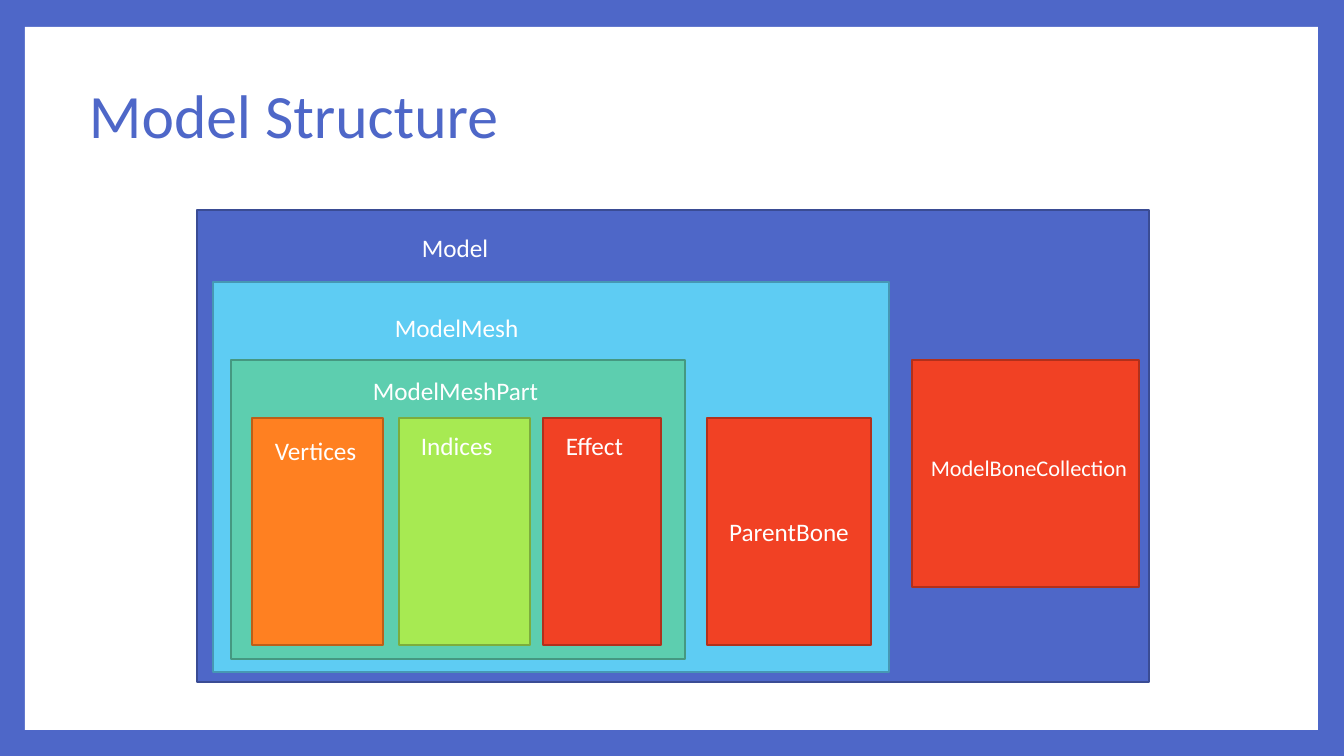
from pptx import Presentation
from pptx.dml.color import RGBColor
from pptx.enum.shapes import MSO_SHAPE as Preset
from pptx.enum.text import MSO_ANCHOR as Anchor, PP_ALIGN as Align
from pptx.util import Emu, Pt

EMU_PER_PIXEL = 914400 / 100.8
FONT = "Calibri"
BLUE, WHITE = "4E67C8", "FFFFFF"
RED, DARK_RED = "F14124", "B2301B"
BAR_TOP, BAR_HEIGHT = 208, 227

NESTED_BOXES = [
    ((0, 0, 952, 472), BLUE, "3A4C94"),
    ((16, 72, 676, 390), "5ECCF3", "4697B4"),
    ((34, 150, 454, 299), "5DCEAF", "459881"),
    ((55, BAR_TOP, 131, BAR_HEIGHT), "FF8021", "BD5F18"),
    ((202, BAR_TOP, 131, BAR_HEIGHT), "A7EA52", "7CAD3D"),
    ((346, BAR_TOP, 118, BAR_HEIGHT), RED, DARK_RED),
    ((715, 150, 227, 227), RED, DARK_RED),
]
LABELS = [
    ("Model", (215, 17, 92, 40), 18),
    ("ModelMesh", (188, 97, 145, 40), 18),
    ("ModelMeshPart", (166, 160, 189, 40), 18),
    ("Vertices", (68, 220, 108, 40), 18),
    ("Indices", (214, 215, 102, 40), 18),
    ("Effect", (359, 215, 92, 40), 18),
    ("ModelBoneCollection", (724, 239, 227, 37), 16),
]
PARENT_BONE = (510, BAR_TOP, 164, BAR_HEIGHT)


def px(length):
    return Emu(round(length * EMU_PER_PIXEL))


def color(value):
    return RGBColor.from_string(value)


def place(box, origin):
    left, top, width, height = box
    return [px(n) for n in (origin[0] + left, origin[1] + top, width, height)]


def add_rect(page, box, fill, line=None, origin=(0, 0)):
    rect = page.shapes.add_shape(Preset.RECTANGLE, *place(box, origin))
    rect.shadow.inherit = False
    rect.fill.solid()
    rect.fill.fore_color.rgb = color(fill)
    if line:
        rect.line.color.rgb = color(line)
        rect.line.width = Pt(1.5)
    else:
        rect.line.fill.background()
    return rect


def write(shape, text, size, ink=WHITE, anchor=Anchor.TOP, align=Align.LEFT):
    frame = shape.text_frame
    frame.word_wrap = True
    frame.vertical_anchor = anchor
    para = frame.paragraphs[0]
    para.alignment = align
    span = para.add_run()
    span.text = text
    span.font.name = FONT
    span.font.size = Pt(size)
    span.font.color.rgb = color(ink)
    return para


def add_text(page, box, text, size, origin=(0, 0), **style):
    return write(page.shapes.add_textbox(*place(box, origin)), text, size, **style)


def draw_frame(page, box):
    page.background.fill.solid()
    page.background.fill.fore_color.rgb = color(BLUE)
    add_rect(page, box, WHITE)


def draw_title(page, box):
    para = add_text(page, box, "Model Structure", 44, ink=BLUE, anchor=Anchor.MIDDLE)
    para.line_spacing = 0.9


def draw_structure(page, origin):
    for box, fill, line in NESTED_BOXES:
        add_rect(page, box, fill, line, origin)
    for text, box, size in LABELS:
        add_text(page, box, text, size, origin)
    parent_bone = add_rect(page, PARENT_BONE, RED, DARK_RED, origin)
    write(parent_bone, "ParentBone", 18, anchor=Anchor.MIDDLE, align=Align.CENTER)


deck = Presentation()
deck.slide_width, deck.slide_height = px(1344), px(756)
page = deck.slides.add_slide(deck.slide_layouts[6])
draw_frame(page, (25, 27, 1293, 703))
draw_title(page, (79, 44, 1089, 149))
draw_structure(page, (197, 210))
deck.save("out.pptx")
